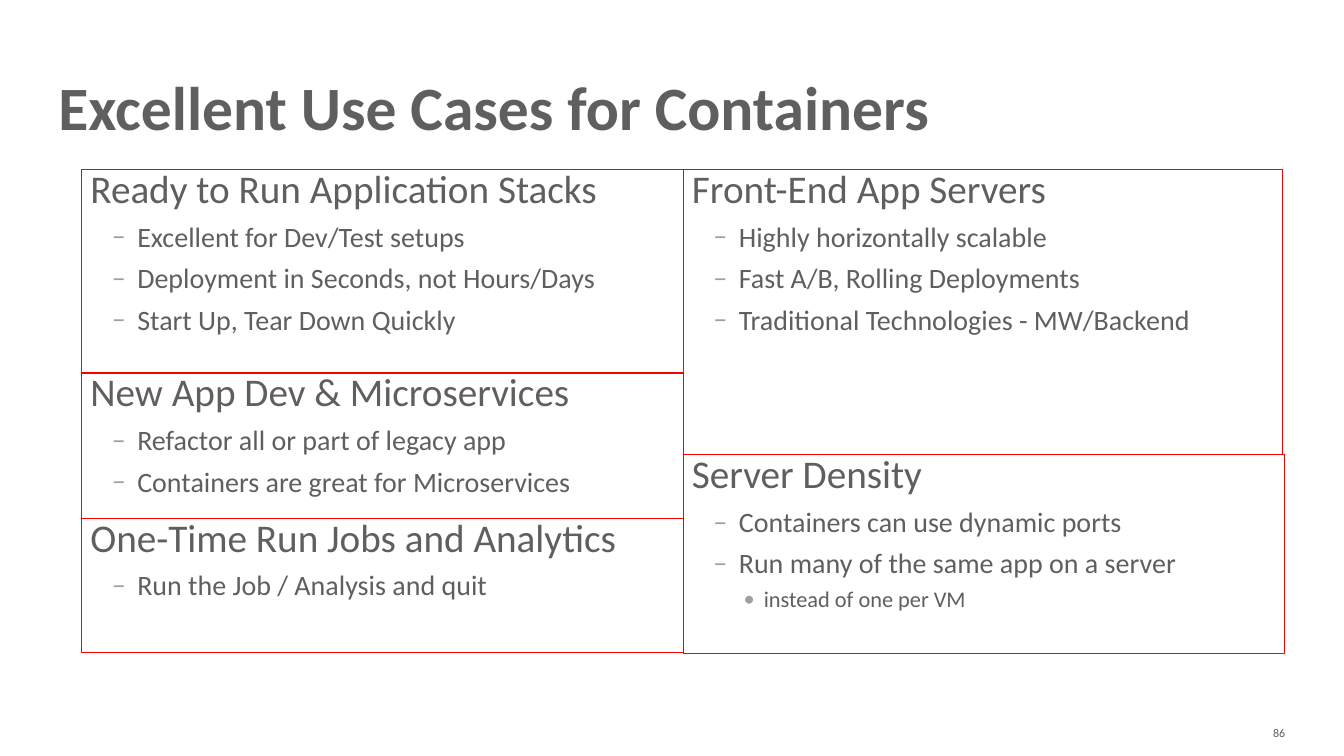
from dataclasses import dataclass

from lxml import etree
from pptx import Presentation
from pptx.dml.color import RGBColor
from pptx.enum.shapes import MSO_SHAPE
from pptx.enum.text import MSO_ANCHOR, MSO_AUTO_SIZE, PP_ALIGN
from pptx.oxml.ns import qn
from pptx.util import Cm, Pt

RECTANGLE = MSO_SHAPE.RECTANGLE
TOP, MIDDLE, BOTTOM = MSO_ANCHOR.TOP, MSO_ANCHOR.MIDDLE, MSO_ANCHOR.BOTTOM
LEFT, RIGHT = PP_ALIGN.LEFT, PP_ALIGN.RIGHT
NO_AUTOFIT = MSO_AUTO_SIZE.NONE


@dataclass(frozen=True)
class Theme:
    font: str = "Calibri"
    text: str = "5F5F5F"
    bullet: str = "9F9F9F"
    border: str = "F80000"
    title_size: float = 44
    number_size: float = 8.5
    border_width: float = 0.75


@dataclass(frozen=True)
class Level:
    size: float
    space_before: float
    margin: float
    indent: float
    bullet: str


THEME = Theme()
LEVELS = (
    Level(28, 12, 0.22, 0, ""),
    Level(20, 8, 1.4, -0.64, "–"),
    Level(16, 6, 2.03, -0.51, "•"),
)
COLUMN_TOP = 4.27
LEFT_COLUMN = (
    (15.16, 5.13, (
        (0, "Ready to Run Application Stacks"),
        (1, "Excellent for Dev/Test setups"),
        (1, "Deployment in Seconds, not Hours/Days"),
        (1, "Start Up, Tear Down Quickly"),
    )),
    (15.16, 3.66, (
        (0, "New App Dev & Microservices"),
        (1, "Refactor all or part of legacy app"),
        (1, "Containers are great for Microservices"),
    )),
    (15.16, 3.38, (
        (0, "One-Time Run Jobs and Analytics"),
        (1, "Run the Job / Analysis and quit"),
    )),
)
RIGHT_COLUMN = (
    (15.11, 7.19, (
        (0, "Front-End App Servers"),
        (1, "Highly horizontally scalable"),
        (1, "Fast A/B, Rolling Deployments"),
        (1, "Traditional Technologies - MW/Backend"),
    )),
    (15.16, 5, (
        (0, "Server Density"),
        (1, "Containers can use dynamic ports"),
        (1, "Run many of the same app on a server"),
        (2, "instead of one per VM"),
    )),
)


def place(shape, left, top, width, height):
    shape.left, shape.top = Cm(left), Cm(top)
    shape.width, shape.height = Cm(width), Cm(height)


def prepare_frame(shape, anchor=TOP, wrap=True):
    frame = shape.text_frame
    frame.auto_size = NO_AUTOFIT
    frame.word_wrap = wrap
    frame.vertical_anchor = anchor
    frame.margin_left = frame.margin_right = 0
    frame.margin_top = frame.margin_bottom = 0
    return frame


def write_text(paragraph, text, size, bold=False, align=LEFT, line_spacing=1.0, space_before=0):
    paragraph.alignment = align
    paragraph.line_spacing = line_spacing
    paragraph.space_before = Pt(space_before)
    run = paragraph.add_run()
    run.text = text
    run.font.name = THEME.font
    run.font.size = Pt(size)
    run.font.bold = bold
    run.font.color.rgb = RGBColor.from_string(THEME.text)


def set_bullet(paragraph, level):
    properties = paragraph._p.get_or_add_pPr()
    properties.set("marL", str(Cm(level.margin)))
    properties.set("indent", str(Cm(level.indent)))
    if not level.bullet:
        etree.SubElement(properties, qn("a:buNone"))
        return
    color = etree.SubElement(properties, qn("a:buClr"))
    etree.SubElement(color, qn("a:srgbClr"), val=THEME.bullet)
    etree.SubElement(properties, qn("a:buFont"), typeface=THEME.font)
    etree.SubElement(properties, qn("a:buChar"), char=level.bullet)


def fill_use_case(shape, items):
    shape.fill.background()
    shape.line.color.rgb = RGBColor.from_string(THEME.border)
    shape.line.width = Pt(THEME.border_width)
    frame = prepare_frame(shape)
    for index, (depth, text) in enumerate(items):
        paragraph = frame.add_paragraph() if index else frame.paragraphs[0]
        level = LEVELS[depth]
        paragraph.level = depth
        set_bullet(paragraph, level)
        write_text(paragraph, text, level.size, line_spacing=0.9,
                   space_before=level.space_before if index else 0)


def add_column(slide, left, use_cases, body=None):
    top = COLUMN_TOP
    for width, height, items in use_cases:
        shape = body
        if shape is None:
            shape = slide.shapes.add_shape(RECTANGLE, 0, 0, 0, 0)
            shape.shadow.inherit = False
        body = None
        place(shape, left, top, width, height)
        fill_use_case(shape, items)
        top += height


def set_title(slide, text):
    title = slide.shapes.title
    place(title, 1.47, 1.12, 30.91, 2.46)
    frame = prepare_frame(title, anchor=BOTTOM)
    write_text(frame.paragraphs[0], text, THEME.title_size, bold=True, line_spacing=0.8)


def add_slide_number(slide, number):
    box = slide.shapes.add_textbox(Cm(31.32), Cm(18.21), Cm(1.07), Cm(0.51))
    frame = prepare_frame(box, anchor=MIDDLE, wrap=False)
    write_text(frame.paragraphs[0], number, THEME.number_size, align=RIGHT)


def main():
    presentation = Presentation()
    presentation.slide_width, presentation.slide_height = Cm(33.87), Cm(19.05)
    slide = presentation.slides.add_slide(presentation.slide_layouts[1])
    set_title(slide, "Excellent Use Cases for Containers")
    add_column(slide, 2.06, LEFT_COLUMN, body=slide.placeholders[1])
    add_column(slide, 17.22, RIGHT_COLUMN)
    add_slide_number(slide, "86")
    presentation.save("out.pptx")


if __name__ == "__main__":
    main()
